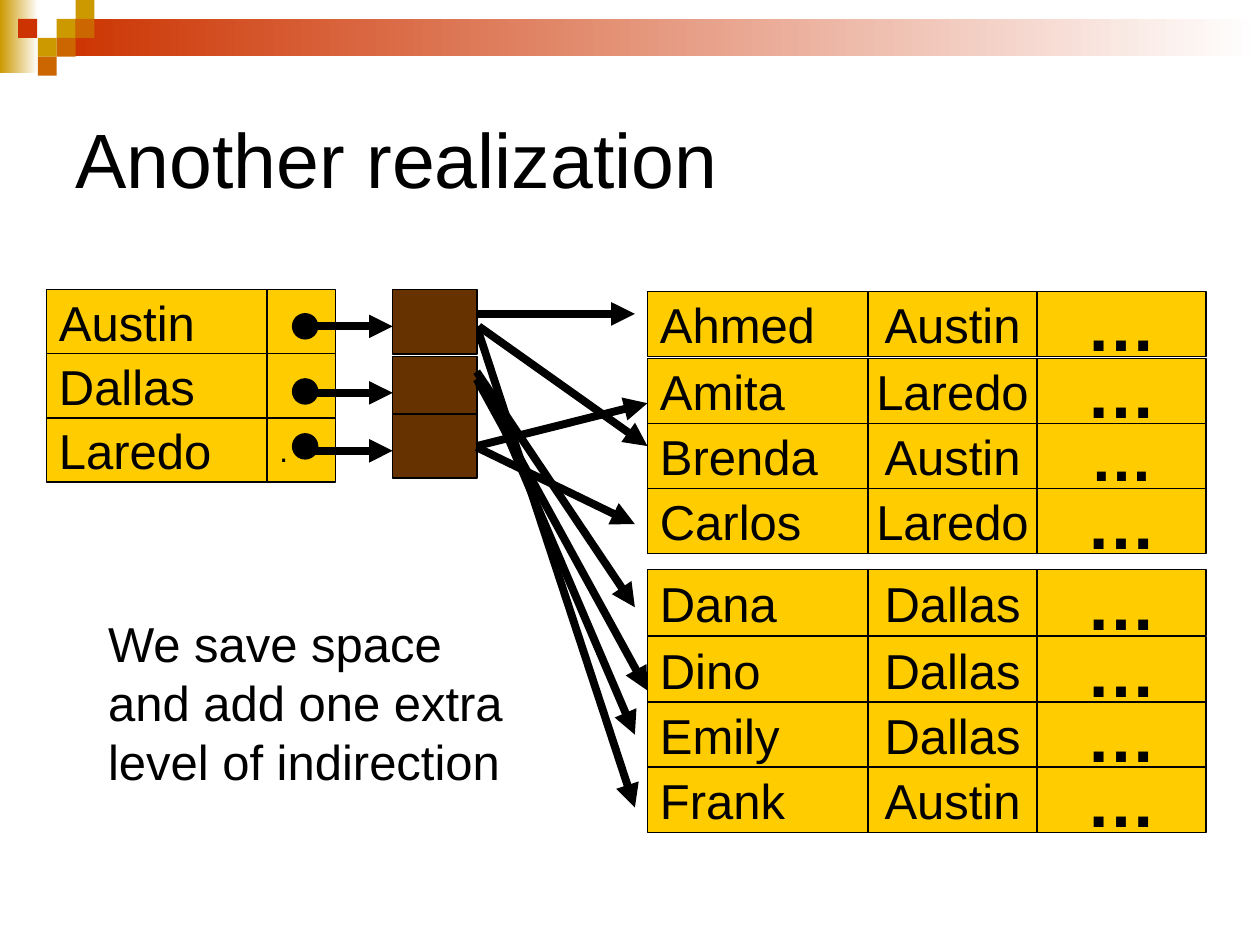
from dataclasses import dataclass

from lxml import etree
from pptx import Presentation
from pptx.dml.color import RGBColor
from pptx.enum.shapes import MSO_CONNECTOR, MSO_SHAPE
from pptx.enum.text import MSO_ANCHOR, MSO_AUTO_SIZE, PP_ALIGN
from pptx.oxml.ns import qn
from pptx.util import Pt

RECTANGLE, OVAL = MSO_SHAPE.RECTANGLE, MSO_SHAPE.OVAL
STRAIGHT = MSO_CONNECTOR.STRAIGHT
LEFT, CENTER = PP_ALIGN.LEFT, PP_ALIGN.CENTER
TOP, MIDDLE = MSO_ANCHOR.TOP, MSO_ANCHOR.MIDDLE
FIT_SHAPE = MSO_AUTO_SIZE.SHAPE_TO_FIT_TEXT

BLACK, WHITE = "000000", "FFFFFF"
YELLOW, BROWN = "FFCC00", "663300"
GOLD, ORANGE, RED = "CC9900", "CC6600", "CC3300"


@dataclass
class Area:
    left: float
    top: float
    width: float
    height: float


@dataclass
class Arrow:
    start: tuple[float, float]
    end: tuple[float, float]


@dataclass
class Record:
    name: str
    city: str
    dots_size: float = 40


def color(value: str) -> RGBColor:
    return RGBColor.from_string(value)


def write_text(box, text: str, size: float = 28, bold: bool = False, align=LEFT,
               anchor=MIDDLE, wrap: bool = False, spacing: float | None = None) -> None:
    frame = box.text_frame
    frame.text = text
    frame.word_wrap = wrap
    frame.vertical_anchor = anchor
    for para in frame.paragraphs:
        para.alignment = align
        if spacing:
            para.line_spacing = Pt(spacing)
        para.font.name = "Arial"
        para.font.size = Pt(size)
        para.font.bold = bold
        para.font.color.rgb = color(BLACK)


def draw_shape(page, area: Area, fill: str, kind=RECTANGLE, outlined: bool = True,
               fade_to: str | None = None):
    shape = page.shapes.add_shape(kind, Pt(area.left), Pt(area.top),
                                  Pt(area.width), Pt(area.height))
    shape.shadow.inherit = False
    if fade_to:
        shape.fill.gradient()
        shape.fill.gradient_angle = 0
        for stop, value in zip(shape.fill.gradient_stops, (fill, fade_to)):
            stop.color.rgb = color(value)
    else:
        shape.fill.solid()
        shape.fill.fore_color.rgb = color(fill)
    if outlined:
        shape.line.color.rgb = color(BLACK)
        shape.line.width = Pt(0.75)
    else:
        shape.line.fill.background()
    return shape


def draw_arrow(page, arrow: Arrow) -> None:
    points = [Pt(value) for value in (*arrow.start, *arrow.end)]
    connector = page.shapes.add_connector(STRAIGHT, *points)
    connector.line.color.rgb = color(BLACK)
    connector.line.width = Pt(4.5)
    properties = connector.line._get_or_add_ln()
    etree.SubElement(properties, qn("a:tailEnd"), type="triangle")
    etree.SubElement(connector._element.spPr, qn("a:effectLst"))


def draw_banner(page) -> None:
    draw_shape(page, Area(0, 0, 22, 41.7), GOLD, outlined=False, fade_to=WHITE)
    draw_shape(page, Area(32.4, 10.8, 687.6, 21.2), RED, outlined=False, fade_to=WHITE)
    side = 10.8
    squares = ((32.4, 10.8, GOLD), (43.2, 0, GOLD), (43.2, 10.8, ORANGE),
               (21.6, 21.6, GOLD), (10.4, 10.8, RED), (32.4, 21.6, ORANGE),
               (21.6, 32.4, ORANGE))
    for left, top, fill in squares:
        draw_shape(page, Area(left, top, side, side), fill, outlined=False)


def draw_records(page, top: float, records: list[Record]) -> None:
    name_left, name_width, width, height = 370, 126, 96.6, 37.4
    city_left = name_left + name_width
    offsets = (0, 38.3, 75.6, 112.7)
    for offset, record in zip(offsets, records):
        row = top + offset
        name = draw_shape(page, Area(name_left, row, name_width, height), YELLOW)
        write_text(name, record.name)
        city = draw_shape(page, Area(city_left, row, width, height), YELLOW)
        write_text(city, record.city, align=CENTER)
        dots = draw_shape(page, Area(city_left + width, row, width, height), YELLOW)
        write_text(dots, "…", size=record.dots_size, bold=True, align=CENTER)


def draw_index(page) -> None:
    top, height = 165.6, 36.6
    for row, city in enumerate(("Austin", "Dallas", "Laredo")):
        row_top = top + row * height
        label = draw_shape(page, Area(26.6, row_top, 126, height), YELLOW)
        write_text(label, city)
        pointer = draw_shape(page, Area(152.6, row_top, 39, height), YELLOW)
        if city == "Laredo":
            write_text(pointer, ".", size=18)
    for dot_top in (179.3, 216.5, 247.9):
        draw_shape(page, Area(167.2, dot_top, 14.4, 14.4), BLACK, kind=OVAL)


def draw_buckets(page) -> None:
    for top, arrow_height in ((165.6, 186.5), (203.6, 224.5), (236.5, 257.6)):
        draw_shape(page, Area(224.4, top, 48.2, 36.7), BROWN)
        draw_arrow(page, Arrow((174.4, arrow_height), (224.4, arrow_height)))


def main() -> None:
    deck = Presentation()
    deck.slide_width, deck.slide_height = Pt(720), Pt(540)
    page = deck.slides.add_slide(deck.slide_layouts[5])
    draw_banner(page)

    title = page.shapes.title
    title.left, title.top, title.width, title.height = Pt(36), Pt(36), Pt(648), Pt(108)
    write_text(title, "Another realization", size=44, wrap=True)

    draw_records(page, 325.6, [Record("Dana", "Dallas"), Record("Dino", "Dallas"),
                               Record("Emily", "Dallas"), Record("Frank", "Austin")])
    draw_records(page, 166.4, [Record("Ahmed", "Austin"), Record("Amita", "Laredo"),
                               Record("Brenda", "Austin", 36), Record("Carlos", "Laredo")])
    draw_index(page)

    austin_arrows = (Arrow((272.4, 179.4), (362.8, 179.4)),
                     Arrow((273.6, 186.5), (370, 254.9)),
                     Arrow((272.4, 186.5), (362.8, 461.5)))
    for arrow in austin_arrows:
        draw_arrow(page, arrow)
    draw_buckets(page)

    note = page.shapes.add_textbox(Pt(54.7), Pt(347), Pt(239.8), Pt(108))
    write_text(note, "We save space\nand add one extra\nlevel of indirection",
               anchor=TOP, spacing=33.7)
    note.text_frame.auto_size = FIT_SHAPE

    other_arrows = (Arrow((272.4, 254.9), (370, 230.4)),
                    Arrow((272.4, 212.4), (362.8, 347)),
                    Arrow((272.4, 216.7), (370, 394.6)),
                    Arrow((279.4, 224.6), (362.8, 419.8)),
                    Arrow((272.4, 255.6), (362.8, 299.5)))
    for arrow in other_arrows:
        draw_arrow(page, arrow)
    deck.save("out.pptx")


if __name__ == "__main__":
    main()
